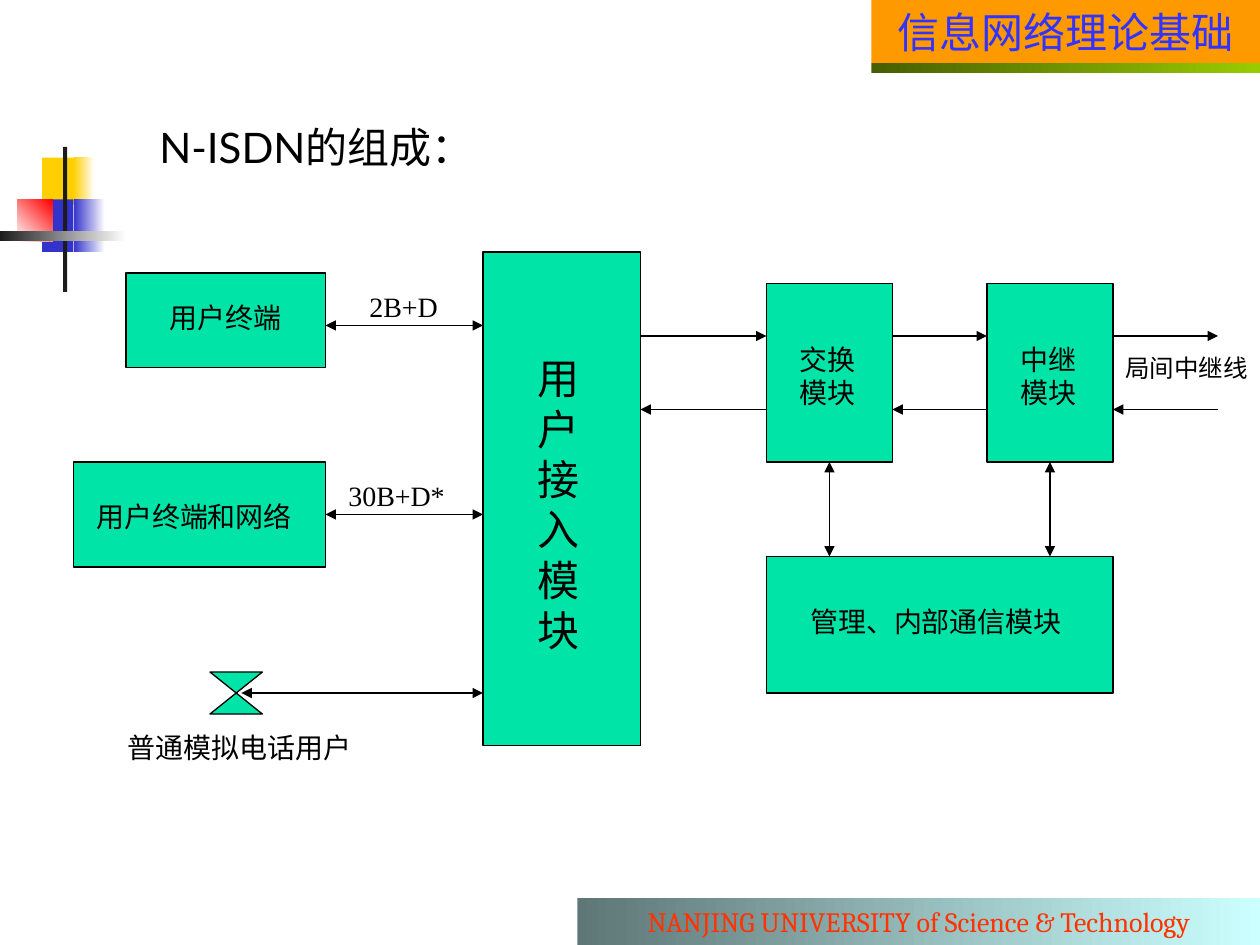
from lxml import etree
from pptx import Presentation, util as u
from pptx.dml.color import RGBColor
from pptx.enum import shapes, text
from pptx.oxml.ns import qn

COLS, ROWS = 120, 90
BLACK, GREEN = "000000", "00E4A8"
TIMES = "Times New Roman"

# left, top, width, height in grid cells; one colour, or two for a gradient
DECOR = [
    (4, 15, 3.5, 4.5, "FFCF01"),
    (7, 15, 2, 5, "FFCF01 FFFFFF"),
    (4, 19, 3, 5, "3333CC"),
    (7, 19, 3, 5, "3333CC FFFFFF"),
    (1.67, 19, 3.33, 4, "FFFFFF FF0000", 45),
    (6, 14, 0.4, 13.8, "1C1C1C"),
    (0, 22, 12, 1, "1C1C1C FFFFFF"),
    (83, 6, 37, 1, "475E00 99CC00"),
]
BANDS = [
    (83, 0, 37, 6, "FF9900", "信息网络理论基础", 24, "Lato", "3333FF"),
    (55, 85.55, 65, 4.45, "5E7676 CCFFFF",
     "NANJING UNIVERSITY of Science & Technology", 16, "Cambria", "FF3300"),
]
BLOCKS = {
    "user": (12, 26, 19, 9),
    "net": (7, 44, 24, 10),
    "access": (46, 24, 15, 47),
    "switch": (73, 27, 12, 17),
    "trunk": (94, 27, 12, 17),
    "admin": (73, 53, 33, 13),
    "phone": (20, 64, 5, 4),
}
LABELS = [
    (34, 27, 10, 4.4, "2B+D", 16, TIMES),
    (32, 45, 12, 4.4, "30B+D*", 16, TIMES),
    (11, 69, 26, 4.4, "普通模拟电话用户", 16, TIMES),
    (15, 28, 14, 4.4, "用户终端", 16, TIMES),
    (8, 47, 22, 4.4, "用户终端和网络", 16, TIMES),
    (50, 33, 8, 30, "用户接入模块", 24, TIMES),
    (75, 32, 8, 7.7, "交换模块", 16, TIMES),
    (96, 32, 9, 7.7, "中继模块", 16, TIMES),
    (76, 57, 27, 4.4, "管理、内部通信模块", 16, TIMES),
    (106, 33, 17, 4.1, "局间中继线", 14, TIMES),
    (14, 11, 54, 6, "N-ISDN的组成：", 24, "Lato"),
]
ACCESS = [(31, 31), (31, 49), (23, 66)]
GAPS = [(61, 73), (85, 94), (106, 116)]
OUT, BACK = 32, 39

deck = Presentation()
deck.slide_width, deck.slide_height = u.Inches(10), u.Inches(7.5)
slide = deck.slides.add_slide(deck.slide_layouts[6])
CELL = deck.slide_width / COLS


def grid(*cells):
    return [round(c * CELL) for c in cells]


def rgb(code):
    return RGBColor.from_string(code)


def paint(fill, codes, angle=0):
    codes = codes.split()
    if len(codes) == 1:
        fill.solid()
        fill.fore_color.rgb = rgb(codes[0])
        return
    fill.gradient()
    fill.gradient_angle = angle
    for stop, code in zip(fill.gradient_stops, codes):
        stop.color.rgb = rgb(code)


def block(x, y, w, h, codes, angle=0, kind=shapes.MSO_SHAPE.RECTANGLE, edge=None):
    item = slide.shapes.add_shape(kind, *grid(x, y, w, h))
    item.shadow.inherit = False
    paint(item.fill, codes, angle)
    if edge:
        item.line.color.rgb = rgb(edge)
        item.line.width = u.Pt(0.75)
    else:
        item.line.fill.background()
    return item


def write(item, words, size, font, code=BLACK, align=text.PP_ALIGN.LEFT):
    frame = item.text_frame
    frame.word_wrap = True
    frame.auto_size = text.MSO_AUTO_SIZE.SHAPE_TO_FIT_TEXT
    para = frame.paragraphs[0]
    para.alignment = align
    para.space_before = u.Pt(size * 0.625)
    run = para.add_run()
    run.text = words
    run.font.size, run.font.name = u.Pt(size), font
    run.font.color.rgb = rgb(code)


def arrow(x1, y1, x2, y2, both=False):
    link = slide.shapes.add_connector(
        shapes.MSO_CONNECTOR.STRAIGHT, *grid(x1, y1, x2, y2))
    link.line.color.rgb = rgb(BLACK)
    link.line.width = u.Pt(0.75)
    line = link.line._get_or_add_ln()
    for tag in ["a:headEnd", "a:tailEnd"] if both else ["a:tailEnd"]:
        etree.SubElement(line, qn(tag), type="triangle")
    etree.SubElement(link._element.spPr, qn("a:effectLst"))
    return link


for part in DECOR:
    block(*part)
for x, y, w, h, codes, *words in BANDS:
    write(block(x, y, w, h, codes), *words, align=text.PP_ALIGN.CENTER)

made = {}
for name, box in BLOCKS.items():
    kind = (shapes.MSO_SHAPE.FLOWCHART_COLLATE if name == "phone"
            else shapes.MSO_SHAPE.RECTANGLE)
    made[name] = block(*box, GREEN, kind=kind, edge=BLACK)

lines = [arrow(x, y, BLOCKS["access"][0], y, True) for x, y in ACCESS]
lines[1].begin_connect(made["net"], 3)
for left, right in GAPS:
    arrow(left, OUT, right, OUT)
    arrow(right, BACK, left, BACK)
for name in ("switch", "trunk"):
    x, y, w, h = BLOCKS[name]
    mid = x + w / 2
    arrow(mid, y + h, mid, BLOCKS["admin"][1], True).begin_connect(made[name], 2)

for x, y, w, h, *words in LABELS:
    write(slide.shapes.add_textbox(*grid(x, y, w, h)), *words)

deck.save("out.pptx")
